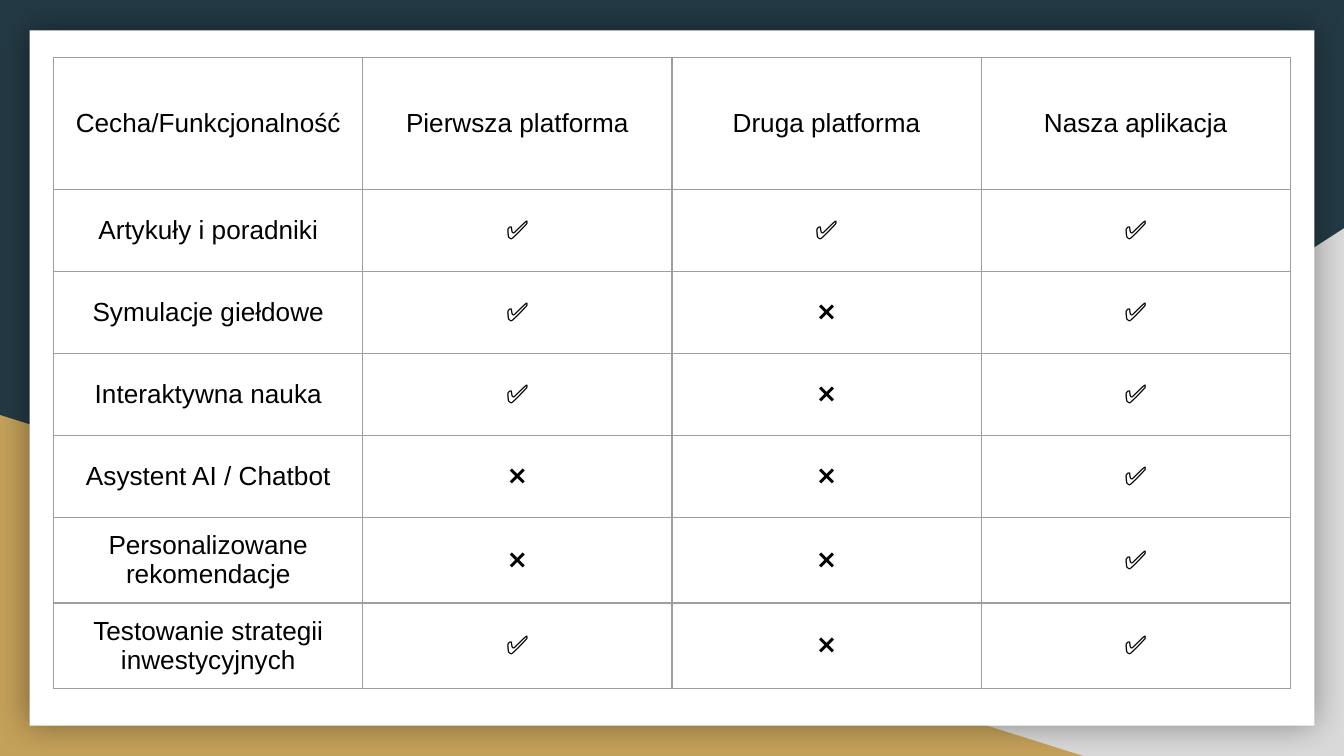
from dataclasses import dataclass

from lxml.etree import SubElement
from pptx import Presentation
from pptx.dml.color import RGBColor
from pptx.enum.shapes import MSO_SHAPE
from pptx.enum.text import MSO_ANCHOR, PP_ALIGN
from pptx.oxml.ns import qn
from pptx.shapes.autoshape import Shape
from pptx.slide import Slide
from pptx.table import _Cell
from pptx.util import Inches, Pt


@dataclass(frozen=True)
class Theme:
    navy: str = "233A44"
    grey: str = "D9D9D9"
    gold: str = "C4A15A"
    white: str = "FFFFFF"
    black: str = "000000"
    rule: str = "9E9E9E"
    font: str = "Arial"
    size: float = 14
    line: float = 0.75


@dataclass(frozen=True)
class Panel:
    """A backdrop shape; lengths are shares of the slide's size."""
    kind: MSO_SHAPE
    left: float
    top: float
    width: float
    height: float
    fill: str
    flip: bool = False
    glow: bool = False


@dataclass(frozen=True)
class Feature:
    name: str
    marks: tuple[bool, bool, bool]


THEME = Theme()
WIDE, HIGH = Inches(10), Inches(5.625)
COL, HEAD, ROW = Inches(2.3), Inches(0.98), Inches(0.61)
PAD = Inches(0.1)

PANELS = [
    Panel(MSO_SHAPE.RIGHT_TRIANGLE, 0.392, 0.302, 0.608, 0.698, THEME.grey, flip=True),
    Panel(MSO_SHAPE.RIGHT_TRIANGLE, 0, 0.549, 0.806, 0.451, THEME.gold),
    Panel(MSO_SHAPE.RECTANGLE, 0.022, 0.04, 0.956, 0.92, THEME.white, glow=True),
]
HEADS = ["Cecha/Funkcjonalność", "Pierwsza platforma", "Druga platforma", "Nasza aplikacja"]
FEATURES = [
    Feature("Artykuły i poradniki", (True, True, True)),
    Feature("Symulacje giełdowe", (True, False, True)),
    Feature("Interaktywna nauka", (True, False, True)),
    Feature("Asystent AI / Chatbot", (False, False, True)),
    Feature("Personalizowane rekomendacje", (False, False, True)),
    Feature("Testowanie strategii inwestycyjnych", (True, False, True)),
]


def add_glow(shape: Shape) -> None:
    """Put an even soft shadow around the shape."""
    effects = shape._element.spPr.find(qn("a:effectLst"))
    glow = SubElement(effects, qn("a:outerShdw"), blurRad=str(Pt(18)), dist="0",
                      dir="0", algn="ctr", rotWithShape="0")
    color = SubElement(glow, qn("a:srgbClr"), val=THEME.black)
    SubElement(color, qn("a:alpha"), val="40000")


def draw_panel(slide: Slide, panel: Panel) -> None:
    shape = slide.shapes.add_shape(
        panel.kind, int(panel.left * WIDE), int(panel.top * HIGH),
        int(panel.width * WIDE), int(panel.height * HIGH))
    shape.shadow.inherit = False
    shape.fill.solid()
    shape.fill.fore_color.rgb = RGBColor.from_string(panel.fill)
    shape.line.fill.background()
    if panel.flip:
        shape._element.spPr.xfrm.set("flipH", "1")
    if panel.glow:
        add_glow(shape)


def add_rules(cell: _Cell) -> None:
    """Draw a thin line on all four sides of the cell."""
    props = cell._tc.get_or_add_tcPr()
    for side in ("lnL", "lnR", "lnT", "lnB"):
        line = SubElement(props, qn(f"a:{side}"), w=str(Pt(THEME.line)))
        fill = SubElement(line, qn("a:solidFill"))
        SubElement(fill, qn("a:srgbClr"), val=THEME.rule)


def fill_cell(cell: _Cell, text: str) -> None:
    looks = {"vertical_anchor": MSO_ANCHOR.MIDDLE, "margin_left": PAD,
             "margin_right": PAD, "margin_top": PAD, "margin_bottom": PAD}
    for name, value in looks.items():
        setattr(cell, name, value)
    add_rules(cell)
    cell.fill.background()
    para = cell.text_frame.paragraphs[0]
    para.alignment = PP_ALIGN.CENTER
    run = para.add_run()
    run.text = text
    for name, value in {"name": THEME.font, "size": Pt(THEME.size), "bold": False}.items():
        setattr(run.font, name, value)
    run.font.color.rgb = RGBColor.from_string(THEME.black)


def draw_table(slide: Slide) -> None:
    rows = [HEADS] + [[item.name, *("✅" if mark else "❌" for mark in item.marks)]
                      for item in FEATURES]
    count = len(HEADS)
    width = count * COL
    table = slide.shapes.add_table(
        len(rows), count, (WIDE - width) // 2, Inches(0.43),
        width, HEAD + len(FEATURES) * ROW).table
    for name in ("first_row", "horz_banding"):
        setattr(table, name, False)
    for col in table.columns:
        col.width = COL
    for index, (row, texts) in enumerate(zip(table.rows, rows)):
        row.height = ROW if index else HEAD
        for cell, text in zip(row.cells, texts):
            fill_cell(cell, text)


def main() -> None:
    deck = Presentation()
    deck.slide_width, deck.slide_height = WIDE, HIGH
    slide = deck.slides.add_slide(deck.slide_layouts[6])
    back = slide.background.fill
    back.solid()
    back.fore_color.rgb = RGBColor.from_string(THEME.navy)
    for panel in PANELS:
        draw_panel(slide, panel)
    draw_table(slide)
    deck.save("out.pptx")


if __name__ == "__main__":
    main()
